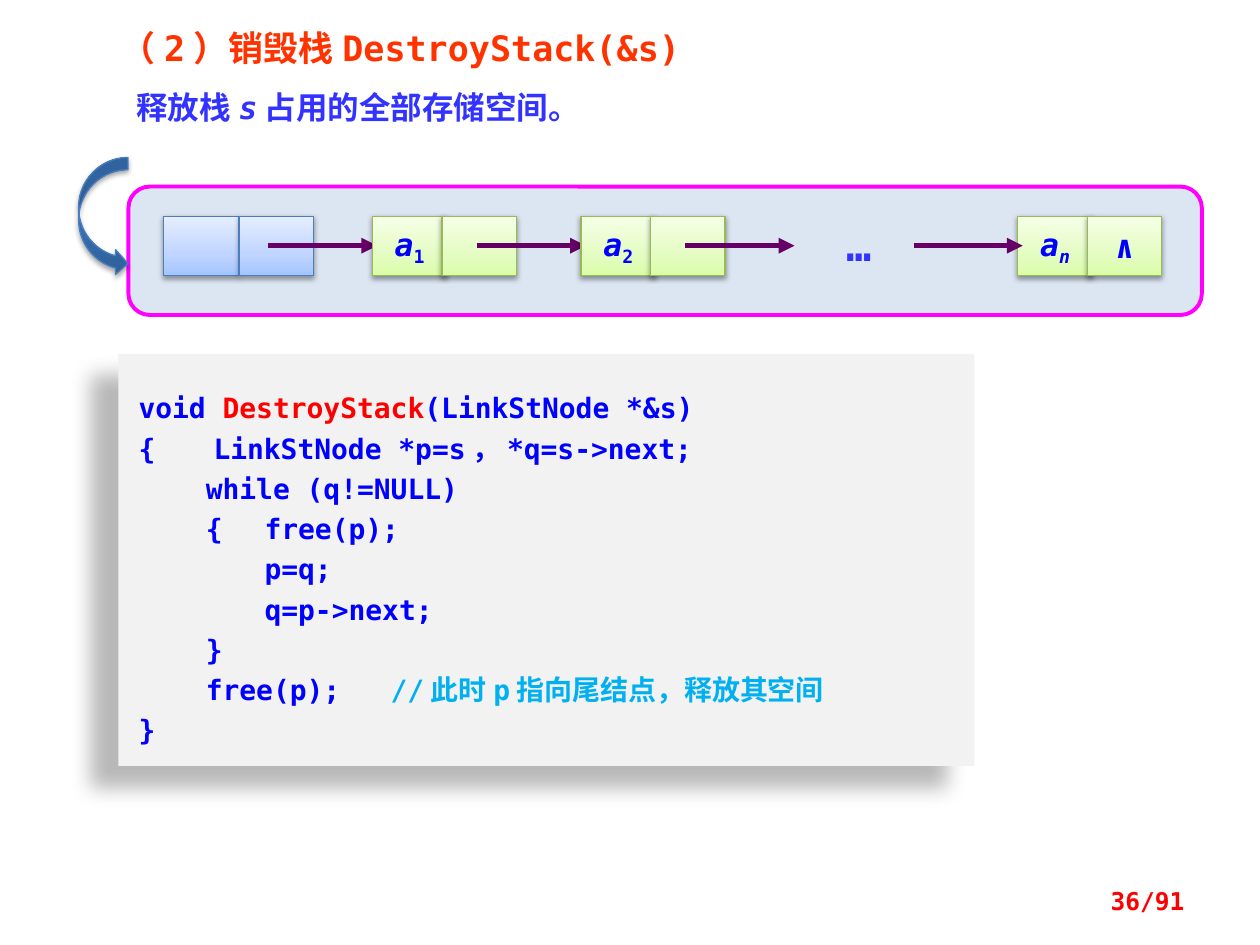
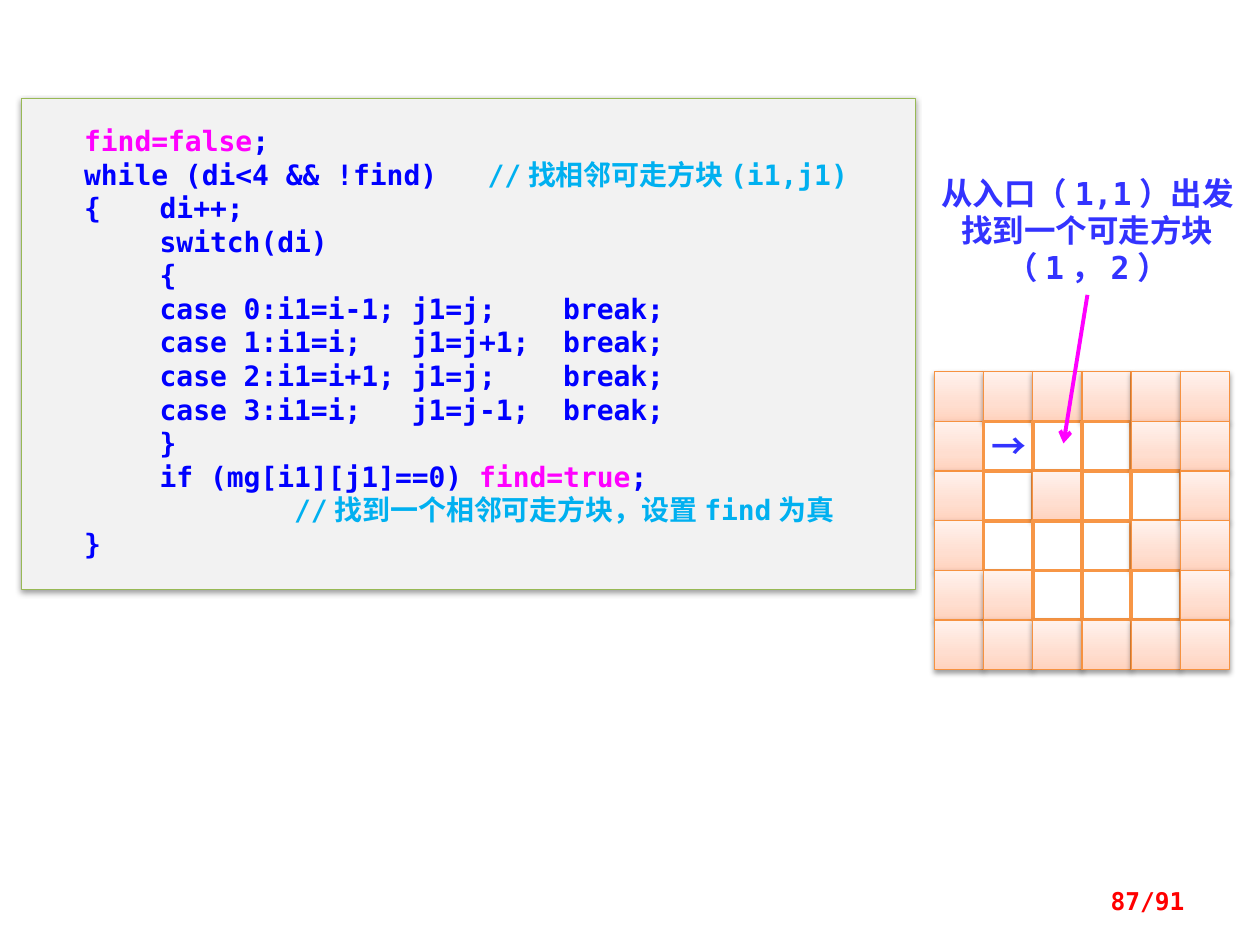
from dataclasses import dataclass
from typing import NamedTuple, Optional

from lxml.etree import SubElement
from pptx import Presentation
from pptx.dml.color import RGBColor
from pptx.enum.lang import MSO_LANGUAGE_ID
from pptx.enum.shapes import MSO_CONNECTOR, MSO_SHAPE
from pptx.enum.text import MSO_ANCHOR, PP_ALIGN
from pptx.oxml.ns import qn
from pptx.util import Pt

# Shared colours and fonts
MONO, CJK = "DejaVu Sans Mono", "Noto Sans CJK SC"
CODE_BLUE, TEXT_BLUE, COMMENT = "0000FF", "3333FF", "00B0F0"
RED, TITLE_RED, MAGENTA, PURPLE = "FF0000", "FF3300", "FF00FF", "660066"
PANEL, GREEN_LINE, WHITE = "F2F2F2", "98B955", "FFFFFF"


class Span(NamedTuple):
    text: str
    color: Optional[str] = None
    italic: bool = False
    subscript: bool = False


class Box(NamedTuple):
    left: float
    top: float
    width: float
    height: float


class Shadow(NamedTuple):
    alpha: int
    blur: float
    distance: float
    angle: int


@dataclass(frozen=True)
class Look:
    fill: Optional[str] = None
    gradient: tuple[tuple[int, str], ...] = ()
    line: Optional[str] = None
    width: float = 0.75
    shadow: Optional[Shadow] = None


@dataclass(frozen=True)
class TextStyle:
    size: float
    color: str
    font: str = MONO
    align: PP_ALIGN = PP_ALIGN.LEFT
    anchor: MSO_ANCHOR = MSO_ANCHOR.TOP
    insets: tuple[float, float, float, float] = (7.2, 3.6, 7.2, 3.6)
    wrap: bool = True
    line_height: Optional[float] = None
    tabs: tuple[float, ...] = ()


SOFT = Shadow(38, 3.1, 1.6, 90)
BLUE_CELL = Look(gradient=((0, "A4C4FF"), (35, "BFD4FF"), (100, "E6EEFF")),
                 line="4B7EBC", shadow=SOFT)
GREEN_CELL = Look(gradient=((0, "DAFDA7"), (35, "E4FCC2"), (100, "F5FFE7")),
                  line=GREEN_LINE, shadow=SOFT)
WALL = Look(gradient=((0, "FFD2BD"), (35, "FFDED0"), (100, "FFF2ED")),
            line="F69240", shadow=SOFT)
OPEN_CELL = Look(fill=WHITE, line="F79646", width=2)
CURVED_ARROW = Look(gradient=((0, "2F5F99"), (80, "3D7CC7"), (100, "3A7CCB")),
                    line="4B7EBC", shadow=Shadow(35, 3.1, 1.8, 90))
NODE_TEXT = TextStyle(18, CODE_BLUE, align=PP_ALIGN.CENTER,
                      anchor=MSO_ANCHOR.MIDDLE, wrap=False)


def rgb(value: str) -> RGBColor:
    return RGBColor.from_string(value)


def write_text(shape, paragraphs: list[list[Span]], style: TextStyle):
    frame = shape.text_frame
    frame.word_wrap = style.wrap
    frame.vertical_anchor = style.anchor
    (frame.margin_left, frame.margin_top,
     frame.margin_right, frame.margin_bottom) = map(Pt, style.insets)
    for index, spans in enumerate(paragraphs):
        paragraph = frame.paragraphs[0] if index == 0 else frame.add_paragraph()
        paragraph.alignment = style.align
        if style.line_height:
            paragraph.line_spacing = Pt(style.line_height)
        if style.tabs:
            tab_list = SubElement(paragraph._p.get_or_add_pPr(), qn("a:tabLst"))
            for stop in style.tabs:
                SubElement(tab_list, qn("a:tab"), pos=str(Pt(stop)), algn="l")
        for span in spans:
            run = paragraph.add_run()
            run.text = span.text
            font = run.font
            font.size, font.bold, font.italic = Pt(style.size), True, span.italic
            font.color.rgb = rgb(span.color or style.color)
            font.name = style.font
            font.language_id = MSO_LANGUAGE_ID.SIMPLIFIED_CHINESE
            properties = run._r.get_or_add_rPr()
            SubElement(properties, qn("a:ea"), typeface=style.font)
            if span.subscript:
                properties.set("baseline", "-25000")


def add_text(slide, box: Box, paragraphs: list[list[Span]], style: TextStyle):
    shape = slide.shapes.add_textbox(*map(Pt, box))
    write_text(shape, paragraphs, style)
    return shape


def add_figure(shapes, kind: MSO_SHAPE, box: Box, look: Look):
    shape = shapes.add_shape(kind, *map(Pt, box))
    shape.shadow.inherit = False
    properties = shape._element.spPr
    if look.gradient:
        shape.fill.gradient()
        shape.fill.gradient_angle = 90
        stops = properties.find(qn("a:gradFill")).find(qn("a:gsLst"))
        stops.clear()
        for position, color in look.gradient:
            stop = SubElement(stops, qn("a:gs"), pos=str(position * 1000))
            SubElement(stop, qn("a:srgbClr"), val=color)
    else:
        shape.fill.solid()
        shape.fill.fore_color.rgb = rgb(look.fill)
    if look.line:
        shape.line.color.rgb = rgb(look.line)
        shape.line.width = Pt(look.width)
    else:
        shape.line.fill.background()
    if look.shadow:
        outer = SubElement(properties.find(qn("a:effectLst")), qn("a:outerShdw"),
                           blurRad=str(Pt(look.shadow.blur)),
                           dist=str(Pt(look.shadow.distance)),
                           dir=str(look.shadow.angle * 60000), rotWithShape="0")
        color = SubElement(outer, qn("a:srgbClr"), val="000000")
        SubElement(color, qn("a:alpha"), val=str(look.shadow.alpha * 1000))
    return shape


def add_arrow(slide, start: tuple[float, float], end: tuple[float, float],
              color: str, width: float, head: str) -> None:
    connector = slide.shapes.add_connector(
        MSO_CONNECTOR.STRAIGHT, *map(Pt, (*start, *end)))
    connector.line.color.rgb = rgb(color)
    connector.line.width = Pt(width)
    SubElement(connector.line._get_or_add_ln(), qn("a:tailEnd"), type=head)
    SubElement(connector._element.spPr, qn("a:effectLst"))


def add_page_number(slide, number: int) -> None:
    add_text(slide, Box(516.2, 500.4, 167.8, 28.8), [[Span(f"{number}/91")]],
             TextStyle(14, RED, align=PP_ALIGN.RIGHT, anchor=MSO_ANCHOR.MIDDLE))


# Linked stack: node cells and the arrows between them
CELL_TOP, CELL_WIDTH, CELL_HEIGHT = 123.6, 42.6, 34
LINK_Y, LINK_OFFSET, LINK_LENGTH = 140.4, 59.6, 62.4
HEAD_LEFT, LAST_LEFT = 93.6, 581.6


def add_cell(slide, left: float, look: Look, spans: list[Span]) -> None:
    cell = add_figure(slide.shapes, MSO_SHAPE.RECTANGLE,
                      Box(left, CELL_TOP, CELL_WIDTH, CELL_HEIGHT), look)
    if spans:
        write_text(cell, [spans], NODE_TEXT)


def add_data_node(slide, left: float, subscript: Span, link: list[Span]) -> None:
    add_cell(slide, left, GREEN_CELL, [Span("a", italic=True), subscript])
    add_cell(slide, left + 39.7, GREEN_CELL, link)


def add_link(slide, start: float) -> None:
    add_arrow(slide, (start, LINK_Y), (start + LINK_LENGTH, LINK_Y),
              PURPLE, 3, "triangle")


DESTROY_CODE = [
    [Span("void "), Span("DestroyStack", RED), Span("(LinkStNode *&s)")],
    [Span("{　 LinkStNode *p=s，*q=s->next;")],
    [Span("    while (q!=NULL)")],
    [Span("    {\tfree(p);")],
    [Span("\tp=q;")],
    [Span("\tq=p->next;")],
    [Span("    }")],
    [Span("    free(p);\t"), Span("//此时p指向尾结点，释放其空间", COMMENT)],
    [Span("}")],
]


def build_destroy_stack(slide) -> None:
    add_figure(slide.shapes, MSO_SHAPE.ROUNDED_RECTANGLE,
               Box(73.4, 106.6, 613.4, 73.4),
               Look(fill="DCE6F2", line=MAGENTA, width=2.25))

    # Title and explanation
    heading = add_text(
        slide, Box(61.9, 11.5, 348.5, 67.7),
        [[Span("（2）销毁栈DestroyStack(&s)")],
         [Span("释放栈", TEXT_BLUE), Span("s", TEXT_BLUE, italic=True),
          Span("占用的全部存储空间。", TEXT_BLUE)]],
        TextStyle(20, TITLE_RED, align=PP_ALIGN.JUSTIFY))
    explanation = heading.text_frame.paragraphs[1]
    explanation.space_before = Pt(11.5)
    explanation._p.get_or_add_pPr().set("indent", str(Pt(9)))
    for run in explanation.runs:
        run.font.size = Pt(18)

    # Code panel
    panel = add_figure(slide.shapes, MSO_SHAPE.RECTANGLE,
                       Box(67.7, 202.3, 489.2, 235.4),
                       Look(fill=PANEL, shadow=Shadow(28, 11.8, 19.7, 141)))
    write_text(panel, DESTROY_CODE,
               TextStyle(16, CODE_BLUE, insets=(11.5, 17.3, 11.5, 8.6),
                         line_height=23, tabs=(72, 144)))

    # Nodes, links and the ellipsis
    for left in (HEAD_LEFT, HEAD_LEFT + 43):
        add_cell(slide, left, BLUE_CELL, [])
    add_link(slide, HEAD_LEFT + LINK_OFFSET)
    for number in (1, 2):
        left = HEAD_LEFT + 119.2 * number
        add_data_node(slide, left, Span(str(number), subscript=True), [])
        add_link(slide, left + LINK_OFFSET)
    add_data_node(slide, LAST_LEFT, Span("n", italic=True, subscript=True),
                  [Span("∧")])
    add_link(slide, LAST_LEFT - LINK_OFFSET)
    add_text(slide, Box(456.5, 121.7, 68.4, 36), [[Span("…")]],
             TextStyle(24, TEXT_BLUE, align=PP_ALIGN.CENTER))
    add_figure(slide.shapes, MSO_SHAPE.CURVED_RIGHT_ARROW,
               Box(44.9, 90, 28.2, 67.7), CURVED_ARROW)
    add_page_number(slide, 36)


SEARCH_CODE = [
    [Span("   "), Span("find=false", MAGENTA), Span(";")],
    [Span("   while (di<4 && !find)   "),
     Span("//找相邻可走方块(i1,j1)", COMMENT)],
    [Span("   {\tdi++;")],
    [Span("\tswitch(di)")],
    [Span("\t{")],
    [Span("\tcase 0:i1=i-1; j1=j;    break;")],
    [Span("\tcase 1:i1=i;   j1=j+1;  break;")],
    [Span("\tcase 2:i1=i+1; j1=j;    break;")],
    [Span("\tcase 3:i1=i;   j1=j-1;  break;")],
    [Span("\t}")],
    [Span("\tif (mg[i1][j1]==0) "), Span("find=true", MAGENTA), Span(";")],
    [Span("\t        "), Span("//找到一个相邻可走方块，设置find为真", COMMENT)],
    [Span("   }")],
]
# '#' is a wall, '.' an open square
MAZE = ("######", "#...##", "#.#..#", "#...##", "##...#", "######")
MAZE_LEFT, MAZE_TOP, COLUMN_STEP, ROW_STEP = 534, 212.4, 28.1, 28.4


def build_maze_search(slide) -> None:
    panel = add_figure(slide.shapes, MSO_SHAPE.RECTANGLE,
                       Box(12.2, 56.2, 511.2, 280.8),
                       Look(fill=PANEL, line=GREEN_LINE, shadow=SOFT))
    write_text(panel, SEARCH_CODE,
               TextStyle(16, CODE_BLUE, insets=(7.2, 14.4, 7.2, 14.4),
                         line_height=19.2, tabs=(72, 144)))

    # Maze, column by column, with the first move marked
    maze = slide.shapes.add_group_shape().shapes
    for column in range(len(MAZE[0])):
        for row, squares in enumerate(MAZE):
            box = Box(MAZE_LEFT + column * COLUMN_STEP,
                      MAZE_TOP + row * ROW_STEP, COLUMN_STEP, ROW_STEP)
            add_figure(maze, MSO_SHAPE.RECTANGLE, box,
                       WALL if squares[column] == "#" else OPEN_CELL)
    move = add_figure(maze, MSO_SHAPE.RECTANGLE,
                      Box(565.2, 242.6, 22.3, 23.8), Look(fill=WHITE))
    write_text(move, [[Span("→")]],
               TextStyle(20, TEXT_BLUE, font=CJK, align=PP_ALIGN.CENTER,
                         insets=(0, 0, 0, 0)))

    # Callout
    add_text(slide, Box(528.5, 95.8, 185.8, 72.7),
             [[Span("从入口（1,1）出发找到一个可走方块（1，2）")]],
             TextStyle(18, TEXT_BLUE, align=PP_ALIGN.CENTER, line_height=21.4))
    add_arrow(slide, (621.4, 168.5), (607.7, 253.4), MAGENTA, 2.25, "arrow")
    add_page_number(slide, 87)


def main() -> None:
    presentation = Presentation()
    presentation.slide_width, presentation.slide_height = Pt(720), Pt(540)
    for build in (build_destroy_stack, build_maze_search):
        build(presentation.slides.add_slide(presentation.slide_layouts[6]))
    presentation.save("out.pptx")


if __name__ == "__main__":
    main()
